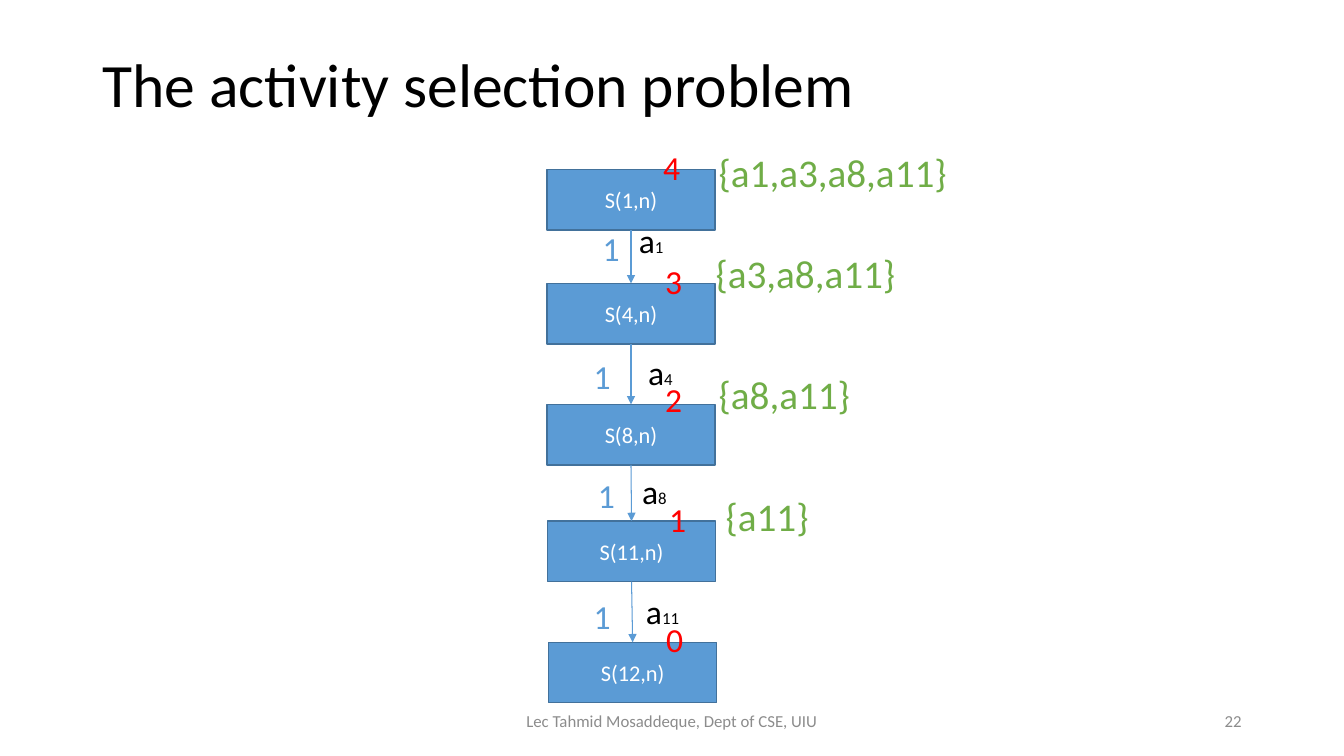
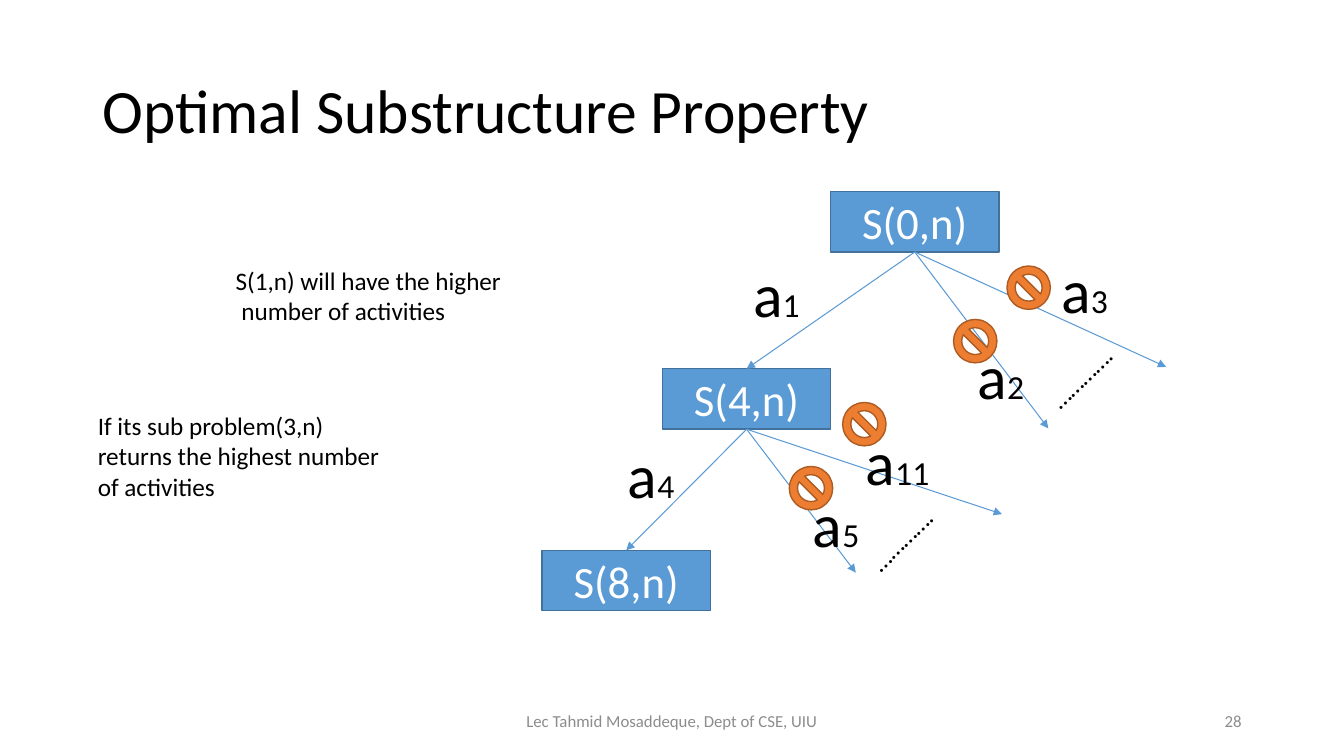
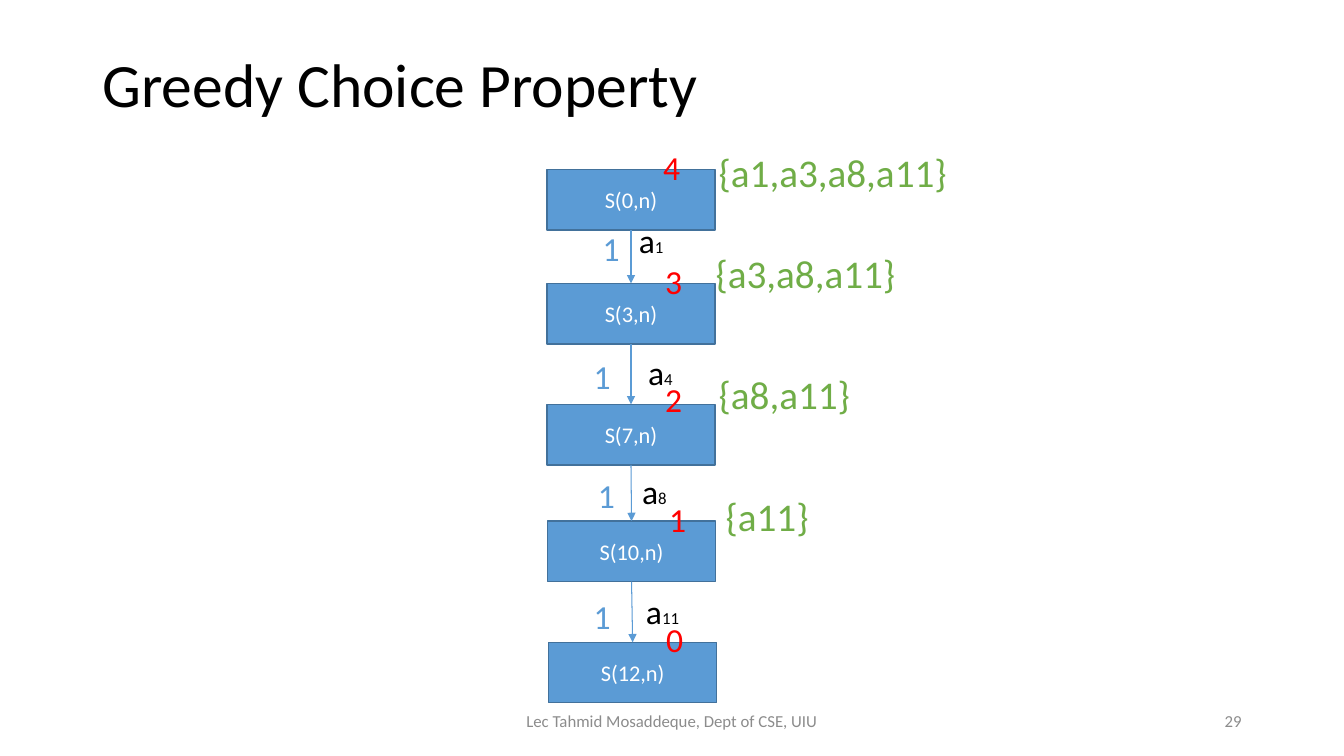
"""Build three slides on greedy activity selection: two chains and a decision tree."""
from dataclasses import dataclass

from lxml import etree
from pptx import Presentation
from pptx.dml.color import RGBColor
from pptx.enum.shapes import MSO_CONNECTOR, MSO_SHAPE
from pptx.enum.text import MSO_ANCHOR, MSO_AUTO_SIZE, PP_ALIGN
from pptx.oxml.ns import qn
from pptx.presentation import Presentation as Deck
from pptx.shapes.autoshape import Shape
from pptx.slide import Slide
from pptx.text.text import TextFrame
from pptx.util import Pt

STRAIGHT = MSO_CONNECTOR.STRAIGHT
RECTANGLE, NO_SIGN = MSO_SHAPE.RECTANGLE, MSO_SHAPE.NO_SYMBOL
LEFT, CENTER, RIGHT = PP_ALIGN.LEFT, PP_ALIGN.CENTER, PP_ALIGN.RIGHT
TOP, MIDDLE = MSO_ANCHOR.TOP, MSO_ANCHOR.MIDDLE
NO_FIT = MSO_AUTO_SIZE.NONE

BLACK = RGBColor(0x00, 0x00, 0x00)
WHITE = RGBColor(0xFF, 0xFF, 0xFF)
BLUE = RGBColor(0x5B, 0x9B, 0xD5)
BLUE_EDGE = RGBColor(0x42, 0x71, 0x9B)
ORANGE = RGBColor(0xED, 0x7D, 0x31)
ORANGE_EDGE = RGBColor(0xAC, 0x5B, 0x23)
GREEN = RGBColor(0x70, 0xAD, 0x47)
RED = RGBColor(0xFF, 0x00, 0x00)
GRAY = RGBColor(0x8C, 0x8C, 0x8C)

FONT = "Calibri"
FOOTER = "Lec Tahmid Mosaddeque, Dept of CSE, UIU"
TITLE_ONLY = 5
BOX_WIDTH, BOX_HEIGHT = 120.24, 43.2
DIGIT_WIDTH, DIGIT_HEIGHT = 26.6, 36.3
SIGN_SIZE = 31
BOTTOM_SITE, TOP_SITE = 2, 0

Point = tuple[float, float]


@dataclass(frozen=True)
class Span:
    """A run of text with its size and colour."""

    text: str
    size: float
    color: RGBColor = BLACK


@dataclass(frozen=True)
class Label:
    """Lines of text in a frame given in points."""

    at: Point
    width: float
    height: float
    lines: list[list[Span]]
    align: PP_ALIGN = LEFT
    anchor: MSO_ANCHOR = TOP
    rotation: float = 0
    wrap: bool = False


@dataclass(frozen=True)
class Step:
    """A subproblem box with the size of its best answer."""

    box_at: Point
    count: str
    count_at: Point


@dataclass(frozen=True)
class Choice:
    """The activity picked between two steps, and what it adds."""

    activity: str
    activity_at: Point
    gain_at: Point


@dataclass(frozen=True)
class Answer:
    """The activities chosen from a step onwards."""

    text: str
    at: Point
    width: float


STEPS = [
    Step((390.6, 121), "4", (466.6, 101.2)),
    Step((390.6, 202.5), "3", (468, 182.9)),
    Step((390.6, 288.9), "2", (468, 267.1)),
    Step((391, 372.2), "1", (470.9, 352.8)),
    Step((391.8, 458.8), "0", (468.7, 438.5)),
]
CHOICES = [
    Choice("1", (449.3, 153.4), (423.4, 159.1)),
    Choice("4", (455.8, 247.7), (416.9, 250.6)),
    Choice("8", (451.6, 332.6), (420, 335.5)),
    Choice("11", (454.3, 418.8), (416.9, 421.9)),
]
ANSWERS = [
    Answer("{a1,a3,a8,a11}", (506.2, 102.2), 179.3),
    Answer("{a3,a8,a11}", (504, 174.2), 144.7),
    Answer("{a8,a11}", (506.2, 260.9), 109.4),
    Answer("{a11}", (511.2, 347.8), 74.2),
]
TREE_BOXES = [
    ("S(0,n)", (593.3, 136.8)),
    ("S(4,n)", (473.2, 263.4)),
    ("S(8,n)", (387.2, 393.1)),
]
REJECTED_ENDS = [
    [(748.8, 306), (833, 262.1)],
    [(611.3, 409), (715.7, 367.2)],
]
TREE_ACTIVITIES = [
    ("1", (530.9, 179.3)),
    ("4", (441.4, 308.9)),
    ("5", (573.6, 343.4)),
    ("11", (611.3, 299.5)),
    ("2", (691.2, 237.6)),
    ("3", (751, 176.4)),
]
SIGNS = [(563.8, 333.2), (601.9, 287.5), (681.1, 228.2), (719.3, 190)]
ELLIPSES = [((607, 365), 85), ((737.3, 254.2), 70.6)]
NOTES = [
    ((161.3, 185.8), 206.6, 51,
     ["S(1,n) will have the higher", " number of activities"]),
    ((62.8, 289.6), 218.2, 72.7,
     ["If its sub problem(3,n)", "returns the highest number", "of activities"]),
]


def write(frame: TextFrame, lines: list[list[Span]], align: PP_ALIGN) -> None:
    """Fill a text frame, one paragraph per line."""
    for index, spans in enumerate(lines):
        para = frame.add_paragraph() if index else frame.paragraphs[0]
        para.alignment = align
        for span in spans:
            run = para.add_run()
            run.text = span.text
            run.font.name = FONT
            run.font.size = Pt(span.size)
            run.font.color.rgb = span.color


def add_label(slide: Slide, label: Label) -> None:
    """Add a text box."""
    left, top = label.at
    box = slide.shapes.add_textbox(
        Pt(left), Pt(top), Pt(label.width), Pt(label.height))
    box.rotation = label.rotation
    frame = box.text_frame
    frame.word_wrap = label.wrap
    frame.vertical_anchor = label.anchor
    write(frame, label.lines, label.align)


def add_solid(slide: Slide, kind: MSO_SHAPE, at: Point, size: Point,
              fill: RGBColor, edge: RGBColor) -> Shape:
    """Add a filled, outlined shape without a shadow."""
    shape = slide.shapes.add_shape(kind, *(Pt(length) for length in (*at, *size)))
    shape.shadow.inherit = False
    shape.fill.solid()
    shape.fill.fore_color.rgb = fill
    shape.line.color.rgb = edge
    shape.line.width = Pt(1)
    return shape


def add_box(slide: Slide, text: str, at: Point, size: float) -> Shape:
    """Add a subproblem box."""
    box = add_solid(slide, RECTANGLE, at, (BOX_WIDTH, BOX_HEIGHT), BLUE, BLUE_EDGE)
    box.text_frame.vertical_anchor = MIDDLE
    write(box.text_frame, [[Span(text, size, WHITE)]], CENTER)
    return box


def add_arrow(slide: Slide, source: Shape, target: Shape | Point) -> None:
    """Draw an arrow from the foot of a box to another box or a point."""
    end = (0, 0) if isinstance(target, Shape) else target
    arrow = slide.shapes.add_connector(
        STRAIGHT, Pt(0), Pt(0), Pt(end[0]), Pt(end[1]))
    arrow.begin_connect(source, BOTTOM_SITE)
    if isinstance(target, Shape):
        arrow.end_connect(target, TOP_SITE)
    arrow.line.color.rgb = BLUE
    arrow.line.width = Pt(0.75)
    properties = arrow.element.spPr
    etree.SubElement(properties.find(qn("a:ln")), qn("a:tailEnd"), type="triangle")
    etree.SubElement(properties, qn("a:effectLst"))


def add_digit(slide: Slide, text: str, at: Point, color: RGBColor) -> None:
    """Add a single coloured number."""
    add_label(slide, Label(
        at, DIGIT_WIDTH, DIGIT_HEIGHT, [[Span(text, 24, color)]]))


def add_activity(slide: Slide, number: str, at: Point, size: float,
                 number_size: float, height: float) -> None:
    """Add an activity name with a small number."""
    width = 14.4 + 0.48 * size + 0.51 * number_size * len(number)
    add_label(slide, Label(
        at, width, height, [[Span("a", size), Span(number, number_size)]]))


def add_page(deck: Deck, title: str, title_height: float, number: str) -> Slide:
    """Add a slide with its title, footer and number."""
    slide = deck.slides.add_slide(deck.slide_layouts[TITLE_ONLY])
    heading = slide.shapes.title
    heading.left, heading.top = Pt(66), Pt(28.8)
    heading.width, heading.height = Pt(828), Pt(title_height)
    frame = heading.text_frame
    frame.auto_size = NO_FIT
    frame.vertical_anchor = MIDDLE
    write(frame, [[Span(title, 44)]], LEFT)
    frame.paragraphs[0].line_spacing = 0.9
    for text, left, width, align in (
            (FOOTER, 318, 324, CENTER), (number, 678, 216, RIGHT)):
        add_label(slide, Label(
            (left, 500.4), width, 28.8, [[Span(text, 12, GRAY)]],
            align, MIDDLE, wrap=True))
    return slide


def add_chain(slide: Slide, states: list[str]) -> None:
    """Draw the column of subproblems with choices and answers."""
    boxes = [add_box(slide, state, step.box_at, 16)
             for state, step in zip(states, STEPS)]
    for source, target in zip(boxes, boxes[1:]):
        add_arrow(slide, source, target)
    for choice in CHOICES:
        add_activity(slide, choice.activity, choice.activity_at, 24, 12, DIGIT_HEIGHT)
        add_digit(slide, "1", choice.gain_at, BLUE)
    for step in STEPS:
        add_digit(slide, step.count, step.count_at, RED)
    for answer in ANSWERS:
        add_label(slide, Label(
            answer.at, answer.width, 41.2, [[Span(answer.text, 28, GREEN)]]))


def add_tree(slide: Slide) -> None:
    """Draw the decision tree with its rejected branches."""
    boxes = [add_box(slide, text, at, 32) for text, at in TREE_BOXES]
    for source, target, ends in zip(boxes, boxes[1:], REJECTED_ENDS):
        for end in (target, *ends):
            add_arrow(slide, source, end)
    for at in SIGNS:
        sign = add_solid(
            slide, NO_SIGN, at, (SIGN_SIZE, SIGN_SIZE), ORANGE, ORANGE_EDGE)
        sign.adjustments[0] = 0.19
    for number, at in TREE_ACTIVITIES:
        add_activity(slide, number, at, 44, 24, 60.5)
    for at, width in ELLIPSES:
        add_label(slide, Label(
            at, width, 29, [[Span("………….", 18)]], rotation=315.6, wrap=True))
    for at, width, height, lines in NOTES:
        add_label(slide, Label(
            at, width, height, [[Span(line, 18)] for line in lines]))


def main() -> None:
    """Build and save the deck."""
    deck = Presentation()
    deck.slide_width, deck.slide_height = Pt(960), Pt(540)
    add_chain(add_page(deck, "The activity selection problem", 67, "22"),
              ["S(1,n)", "S(4,n)", "S(8,n)", "S(11,n)", "S(12,n)"])
    add_tree(add_page(deck, "Optimal Substructure Property", 104.4, "28"))
    add_chain(add_page(deck, "Greedy Choice Property", 67, "29"),
              ["S(0,n)", "S(3,n)", "S(7,n)", "S(10,n)", "S(12,n)"])
    deck.save("out.pptx")


if __name__ == "__main__":
    main()
